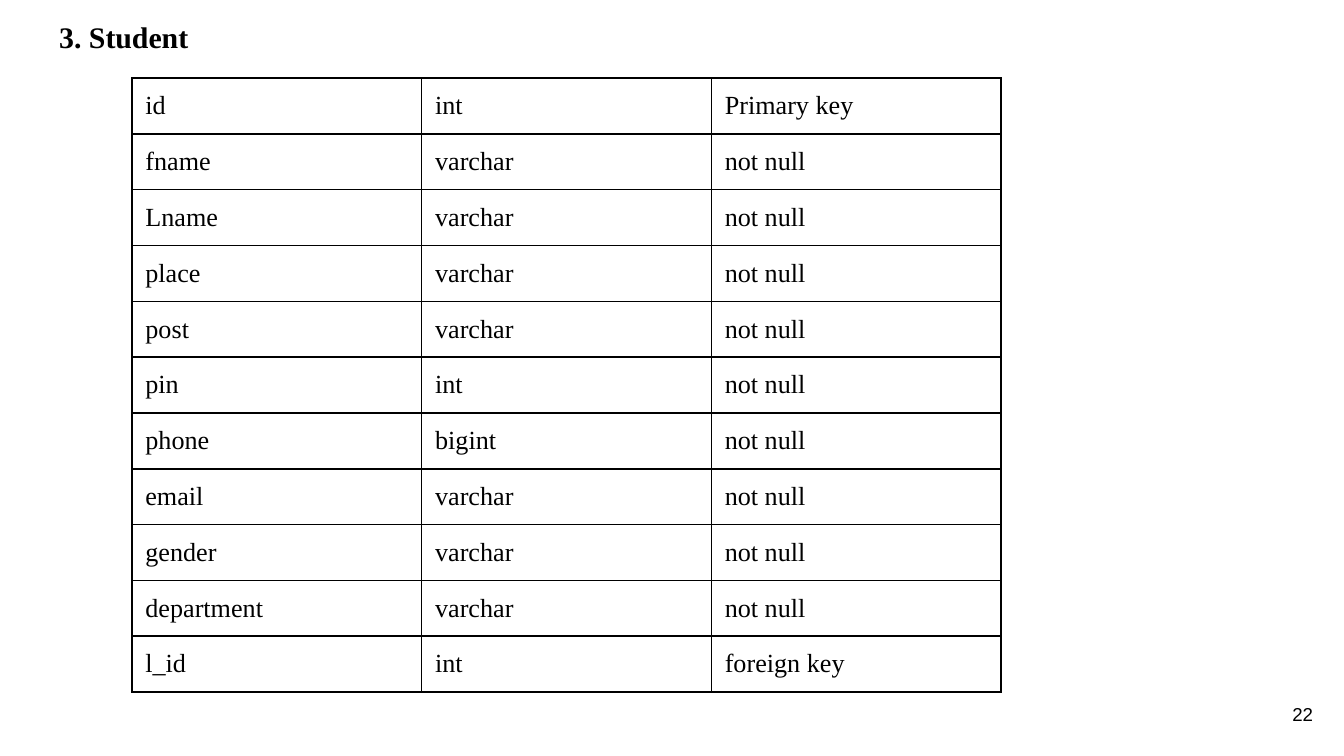
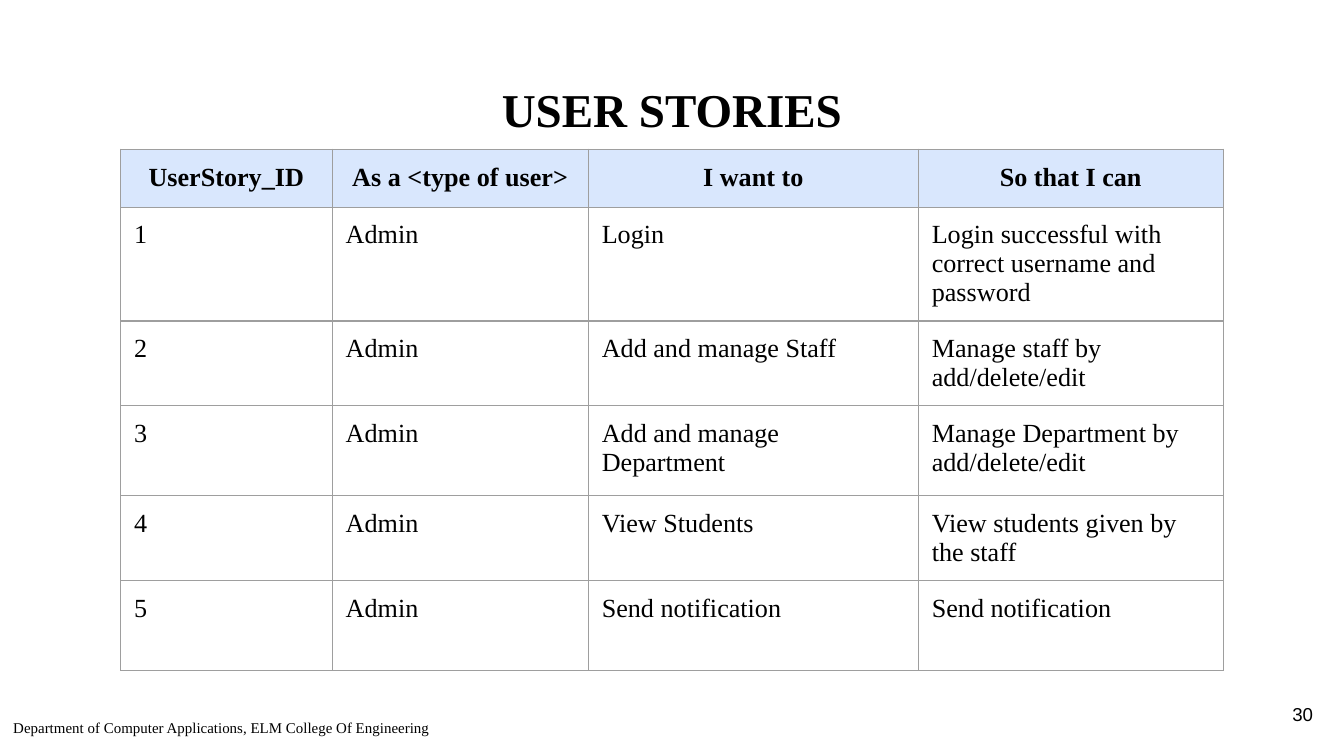
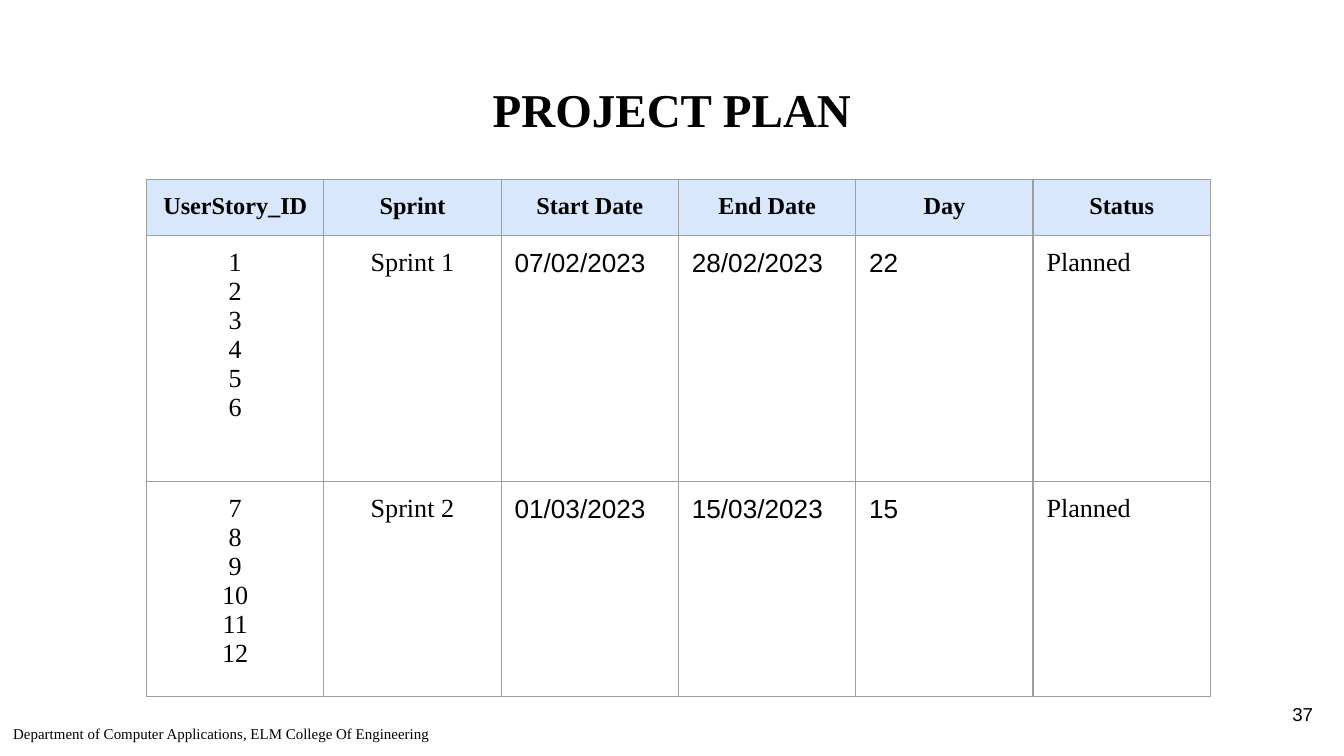
from lxml.etree import SubElement
from pptx import Presentation
from pptx.dml.color import RGBColor
from pptx.enum.text import MSO_ANCHOR, MSO_AUTO_SIZE, PP_ALIGN
from pptx.oxml.ns import qn
from pptx.util import Pt

# Content
STUDENT_HEADING = "3. Student"
STUDENT_FIELDS = [
    ("id", "int", "Primary key"),
    ("fname", "varchar", "not null"),
    ("Lname", "varchar", "not null"),
    ("place", "varchar", "not null"),
    ("post", "varchar", "not null"),
    ("pin", "int", "not null"),
    ("phone", "bigint", "not null"),
    ("email", "varchar", "not null"),
    ("gender", "varchar", "not null"),
    ("department", "varchar", "not null"),
    ("l_id", "int", "foreign key"),
]
USER_STORIES = [
    ("UserStory_ID", "As a <type of user>", "I want to", "So that I can"),
    ("1", "Admin", "Login", "Login successful with correct username and password"),
    ("2", "Admin", "Add and manage Staff", "Manage staff by add/delete/edit"),
    ("3", "Admin", "Add and manage\vDepartment", "Manage Department by add/delete/edit"),
    ("4", "Admin", "View Students", "View students given by the staff"),
    ("5", "Admin", "Send notification", "Send notification"),
]
PROJECT_PLAN = [
    ("UserStory_ID", "Sprint", "Start Date", "End Date", "Day", "Status"),
    ("1\n2\n3\n4\n5\n6", "Sprint 1", "07/02/2023", "28/02/2023", "22", "Planned"),
    ("7\n8\n9\n10\n11\n12", "Sprint 2", "01/03/2023", "15/03/2023", "15", "Planned"),
]
FOOTER = "Department of Computer Applications, ELM College Of Engineering"

# Shared style
SERIF, SANS = "Times New Roman", "Arial"
BLACK = RGBColor(0x00, 0x00, 0x00)
GREY = RGBColor(0x9E, 0x9E, 0x9E)
HEADER_BLUE = RGBColor(0xD9, 0xE7, 0xFD)
PAGE_WIDTH, PAGE_HEIGHT = 720, 405
SIDE, CONTENT_WIDTH = 24.5, 671
INSET = 7.2
BODY_LAYOUT, TITLE_LAYOUT = 1, 5


def place(shape, left, top, width, height):
    shape.left, shape.top = Pt(left), Pt(top)
    shape.width, shape.height = Pt(width), Pt(height)


def set_insets(item):
    item.margin_left = item.margin_right = Pt(INSET)
    item.margin_top = item.margin_bottom = Pt(INSET)


def style_text(frame, size, name=SERIF, bold=False, align=PP_ALIGN.LEFT):
    for paragraph in frame.paragraphs:
        paragraph.alignment = align
        font = paragraph.font
        font.size, font.name, font.bold = Pt(size), name, bold
        font.color.rgb = BLACK


def fill_frame(shape, text, anchor):
    frame = shape.text_frame
    frame.text = text
    frame.word_wrap = True
    frame.auto_size = MSO_AUTO_SIZE.NONE
    frame.vertical_anchor = anchor
    set_insets(frame)
    return frame


def add_label(page, text, bounds, size, name, align, anchor):
    box = page.shapes.add_textbox(*map(Pt, bounds))
    style_text(fill_frame(box, text, anchor), size, name, align=align)


def add_page_number(page, number):
    add_label(page, str(number), (667.5, 367, 43, 31), 10, SANS,
              PP_ALIGN.RIGHT, MSO_ANCHOR.MIDDLE)


def add_footer(page, top, width):
    add_label(page, FOOTER, (0, top, width, PAGE_HEIGHT - top), 8, SERIF,
              PP_ALIGN.LEFT, MSO_ANCHOR.TOP)


def add_titled_page(deck, title):
    page = deck.slides.add_slide(deck.slide_layouts[TITLE_LAYOUT])
    heading = page.shapes.title
    place(heading, SIDE, 35.5, CONTENT_WIDTH, 45)
    frame = fill_frame(heading, title, MSO_ANCHOR.MIDDLE)
    style_text(frame, 25.2, bold=True, align=PP_ALIGN.CENTER)
    return page


def set_borders(cell, color, width):
    properties = cell._tc.get_or_add_tcPr()
    for side in ("a:lnL", "a:lnR", "a:lnT", "a:lnB"):
        line = SubElement(properties, qn(side), w=str(Pt(width)))
        fill = SubElement(line, qn("a:solidFill"))
        SubElement(fill, qn("a:srgbClr"), val=str(color))


def add_grid(page, rows, left, top, widths, heights, line_color, line_width,
             header_size=None, centred=(), sans=()):
    """Draw a table; header_size marks the first row as a header."""
    frame = page.shapes.add_table(len(rows), len(widths), Pt(left), Pt(top),
                                  Pt(sum(widths)), Pt(sum(heights)))
    table = frame.table
    table.horz_banding = False
    table.first_row = header_size is not None
    for column, width in zip(table.columns, widths):
        column.width = Pt(width)
    for row, height in zip(table.rows, heights):
        row.height = Pt(height)
    for r, row in enumerate(rows):
        for c, text in enumerate(row):
            cell = table.cell(r, c)
            cell.text = text
            set_insets(cell)
            set_borders(cell, line_color, line_width)
            if r == 0 and header_size:
                cell.fill.solid()
                cell.fill.fore_color.rgb = HEADER_BLUE
                style_text(cell.text_frame, header_size, bold=True,
                           align=PP_ALIGN.CENTER)
            else:
                cell.fill.background()
                style_text(cell.text_frame, 14, SANS if c in sans else SERIF,
                           align=PP_ALIGN.CENTER if c in centred else PP_ALIGN.LEFT)


def build_student(deck):
    page = deck.slides.add_slide(deck.slide_layouts[BODY_LAYOUT])
    title = page.shapes.title
    title.element.getparent().remove(title.element)
    body = page.placeholders[1]
    place(body, SIDE, 0, CONTENT_WIDTH, PAGE_HEIGHT)
    frame = fill_frame(body, STUDENT_HEADING, MSO_ANCHOR.TOP)
    style_text(frame, 16, bold=True)
    paragraph = frame.paragraphs[0]
    paragraph.line_spacing = 1.15
    paragraph.space_before = Pt(0)
    # Plain heading: no bullet, no hanging indent
    properties = paragraph._p.get_or_add_pPr()
    properties.set("marL", "0")
    properties.set("indent", "0")
    properties.find(qn("a:defRPr")).addprevious(
        SubElement(properties, qn("a:buNone")))
    add_page_number(page, 22)
    add_grid(page, STUDENT_FIELDS, 70.7, 41.8, [155.2] * 3,
             [29.87] * len(STUDENT_FIELDS), BLACK, 1)


def build_user_stories(deck):
    page = add_titled_page(deck, "USER STORIES")
    add_grid(page, USER_STORIES, 64.6, 80, [113.4, 137.2, 176.8, 163.3],
             [31, 61, 45, 48.2, 45, 48.2], GREY, 0.75, header_size=14)
    add_footer(page, 378, 433)
    add_page_number(page, 30)


def build_project_plan(deck):
    page = add_titled_page(deck, "PROJECT PLAN")
    add_footer(page, 381, 327)
    add_grid(page, PROJECT_PLAN, 78.5, 96, [95] * 6, [30, 131.8, 115.2],
             GREY, 0.75, header_size=13, centred=(0, 1), sans=(2, 3, 4))
    add_page_number(page, 37)


def main():
    deck = Presentation()
    deck.slide_width, deck.slide_height = Pt(PAGE_WIDTH), Pt(PAGE_HEIGHT)
    build_student(deck)
    build_user_stories(deck)
    build_project_plan(deck)
    deck.save("out.pptx")


if __name__ == "__main__":
    main()
